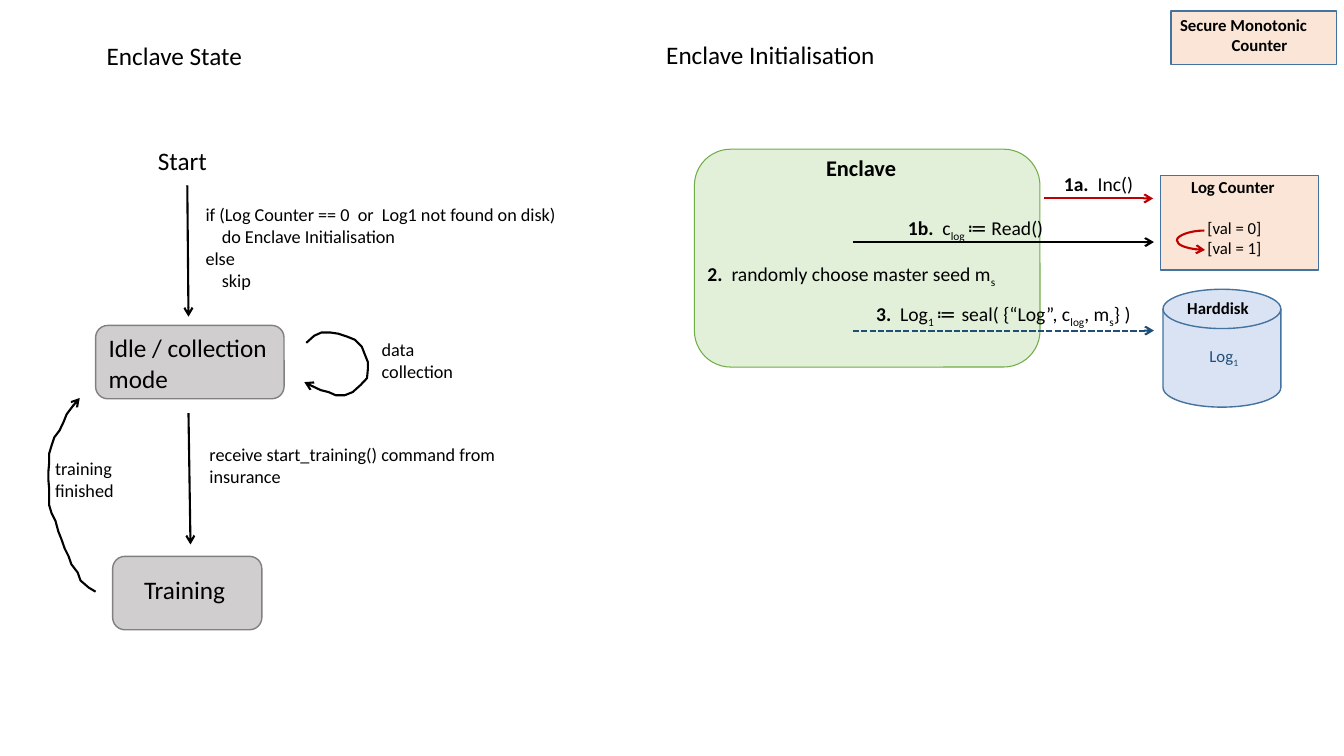
"""Build a slide showing the enclave state flow and the enclave initialisation protocol."""
from lxml import etree
from pptx import Presentation
from pptx import util as u
from pptx.dml.color import RGBColor
from pptx.enum import dml, shapes, text
from pptx.oxml.ns import qn

COLORS = {
    "black": "000000", "navy": "1F4E79", "red": "C00000", "blue": "43739E",
    "leaf": "70AD47", "gray": "808080", "mint": "E2F0D9", "peach": "FBE5D6",
    "sky": "DAE3F3", "silver": "D0CECE",
}
FRAME_FORMAT = {"word_wrap": True, "auto_size": text.MSO_AUTO_SIZE.SHAPE_TO_FIT_TEXT}
NO_MARGINS = dict.fromkeys(("margin_left", "margin_top", "margin_right", "margin_bottom"), 0)
CENTER = text.PP_ALIGN.CENTER

LOOP_POINTS = [
    (772, 864), (792, 846), (810, 838), (833, 838), (853, 841), (874, 848), (894, 856),
    (912, 874), (919, 892), (927, 912), (927, 932), (925, 953), (909, 970), (889, 988),
    (869, 996), (846, 996), (828, 988), (808, 983), (787, 973), (767, 963),
]
RETURN_POINTS = [
    (241, 1491), (224, 1481), (203, 1463), (196, 1443), (180, 1422), (173, 1402),
    (163, 1382), (155, 1359), (147, 1339), (140, 1313), (130, 1293), (124, 1273),
    (124, 1252), (124, 1232), (122, 1209), (122, 1189), (124, 1166), (124, 1143),
    (130, 1123), (137, 1102), (150, 1085), (160, 1064), (168, 1044), (183, 1024),
    (201, 1003),
]


def rgb(name):
    return RGBColor.from_string(COLORS[name])


def apply(target, values):
    for key, value in values.items():
        setattr(target, key, value)


def lengths(values):
    return [u.Cm(value) for value in values]


def add_node(slide, kind, box, fill, outline, width=1):
    node = slide.shapes.add_shape(kind, *lengths(box))
    node.shadow.inherit = False
    node.fill.solid()
    node.fill.fore_color.rgb = rgb(fill)
    node.line.color.rgb = rgb(outline)
    node.line.width = u.Pt(width)


def add_run(paragraph, words, style, size, color):
    run = paragraph.add_run()
    run.text = words
    apply(run.font, {"name": "Arial" if style == "symbol" else "Calibri",
                     "size": u.Pt(size), "bold": style == "bold"})
    run.font.color.rgb = rgb(color)
    if style == "sub":
        run.font._element.set("baseline", "-25000")


def add_label(slide, box, lines, size, color="black", aligns=(), margins=True, indents=()):
    frame = slide.shapes.add_textbox(*lengths(box)).text_frame
    apply(frame, FRAME_FORMAT if margins else FRAME_FORMAT | NO_MARGINS)
    for index, runs in enumerate(lines):
        paragraph = frame.paragraphs[0] if index == 0 else frame.add_paragraph()
        if index < len(aligns):
            paragraph.alignment = aligns[index]
        if index in indents:
            paragraph._p.get_or_add_pPr().set("marL", str(u.Cm(0.41)))
        for words, style in runs:
            add_run(paragraph, words, style, size, color)


def add_plain(slide, box, lines, size, style="", **options):
    add_label(slide, box, [[(line, style)] for line in lines], size, **options)


def add_step(slide, box, number, runs, aligns=(CENTER,)):
    add_label(slide, box, [[(number, "bold"), *runs]], 14, aligns=aligns, margins=False)


def finish_arrow(arrow, color, dash=None):
    apply(arrow.line, {"width": u.Pt(1.5), "dash_style": dash})
    arrow.line.color.rgb = rgb(color)
    properties = arrow._element.spPr
    etree.SubElement(properties.find(qn("a:ln")), qn("a:tailEnd"), type="arrow")
    etree.SubElement(properties, qn("a:effectLst"))


def add_arrow(slide, ends, color="black", dash=None, kind=shapes.MSO_CONNECTOR.STRAIGHT):
    arrow = slide.shapes.add_connector(kind, *lengths(ends))
    finish_arrow(arrow, color, dash)
    return arrow


def add_value_change(slide):
    curve = add_arrow(slide, (30.35, 5.81, 30.37, 6.3), "red", kind=shapes.MSO_CONNECTOR.CURVE)
    guides = curve._element.spPr.find(qn("a:prstGeom")).get_or_add_avLst()
    etree.SubElement(guides, qn("a:gd"), name="adj1", fmla="val -3450000")


def add_hand_drawn(slide, points):
    builder = slide.shapes.build_freeform(*points[0], scale=u.Cm(0.01))
    builder.add_line_segments(points[1:], close=False)
    stroke = builder.convert_to_shape()
    stroke.fill.background()
    finish_arrow(stroke, "black")


def draw_state(slide):
    rounded = shapes.MSO_SHAPE.ROUNDED_RECTANGLE
    add_node(slide, rounded, (2.84, 14.02, 3.76, 1.85), "silver", "gray")
    add_node(slide, rounded, (2.41, 8.2, 4.75, 1.85), "silver", "gray")
    for box, words in (
        ((2.44, 0.89, 6.83, 1.02), "Enclave State"),
        ((3.73, 3.53, 2.62, 1.02), "Start"),
        ((2.49, 8.26, 5.61, 1.8), "Idle / collection mode"),
        ((3.38, 14.35, 3.35, 1.02), "Training"),
    ):
        add_plain(slide, box, [words], 18)
    add_plain(slide, (4.93, 5, 10.49, 2.46), [
        "if (Log Counter == 0  or  Log1 not found on disk)",
        "do Enclave Initialisation", "else", "skip"], 13, indents=(1, 3))
    add_plain(slide, (5.03, 11.05, 8.03, 1.37),
              ["receive start_training() command from insurance"], 13)
    add_plain(slide, (1.14, 11.4, 2.21, 1.37), ["training", "finished"], 13)
    add_plain(slide, (9.37, 8.41, 2.46, 1.37), ["data", "collection"], 13)
    add_arrow(slide, (4.72, 4.67, 4.75, 7.98))
    add_arrow(slide, (4.75, 10.41, 4.8, 13.72))
    add_hand_drawn(slide, LOOP_POINTS)
    add_hand_drawn(slide, RETURN_POINTS)


def draw_initialisation(slide):
    kinds = shapes.MSO_SHAPE
    add_node(slide, kinds.ROUNDED_RECTANGLE, (17.5, 3.76, 8.71, 5.49), "mint", "leaf", 0.75)
    add_node(slide, kinds.RECTANGLE, (29.24, 4.42, 3.99, 2.39), "peach", "blue")
    add_node(slide, kinds.RECTANGLE, (29.51, 0.28, 4.17, 1.35), "peach", "blue")
    add_node(slide, kinds.FLOWCHART_MAGNETIC_DISK, (29.31, 7.29, 2.97, 2.97), "sky", "blue")

    add_plain(slide, (16.54, 0.86, 6.83, 1.02), ["Enclave Initialisation"], 18)
    add_plain(slide, (20.57, 3.76, 3.2, 0.94), ["Enclave"], 16, "bold")
    add_plain(slide, (29.49, 0.25, 4.5, 1.27), ["Secure Monotonic", "Counter"], 12, "bold",
              aligns=(None, CENTER))
    add_plain(slide, (29.77, 4.34, 3.61, 0.76), ["Log Counter"], 12, "bold")
    add_plain(slide, (29.67, 7.37, 2.51, 0.76), ["Harddisk"], 12, "bold")
    for value, top in enumerate((5.36, 5.87)):
        add_plain(slide, (30.18, top, 4.17, 0.76), [f"[val = {value}]"], 12)
    add_label(slide, (30.23, 8.59, 1.7, 0.76), [[("Log", ""), ("1", "sub")]], 12, "navy")

    add_step(slide, (25.68, 4.34, 4.01, 0.61), "1a.", [("  Inc()", "")])
    add_step(slide, (22.4, 5.44, 4.37, 0.61), "1b.", [
        ("  c", ""), ("log ", "sub"), ("≔", "symbol"), (" Read()", "")])
    add_step(slide, (17.83, 6.6, 8.03, 0.61), "2.", [
        ("  randomly choose master seed m", ""), ("s", "sub")], aligns=())
    add_step(slide, (21.69, 7.62, 7.19, 0.61), "3.", [
        ("  Log", ""), ("1 ", "sub"), ("≔ ", "symbol"), ("seal( {“Log”, c", ""),
        ("log", "sub"), (", m", ""), ("s", "sub"), ("} )", "")])

    add_arrow(slide, (26.31, 5, 29.06, 5), "red")
    add_arrow(slide, (21.49, 6.1, 29.08, 6.1))
    add_arrow(slide, (21.49, 8.33, 29.08, 8.33), "navy", dml.MSO_LINE.SQUARE_DOT)
    add_value_change(slide)


def main():
    deck = Presentation()
    apply(deck, {"slide_width": u.Cm(33.87), "slide_height": u.Cm(19.05)})
    slide = deck.slides.add_slide(deck.slide_layouts[6])
    draw_state(slide)
    draw_initialisation(slide)
    deck.save("out.pptx")


if __name__ == "__main__":
    main()
